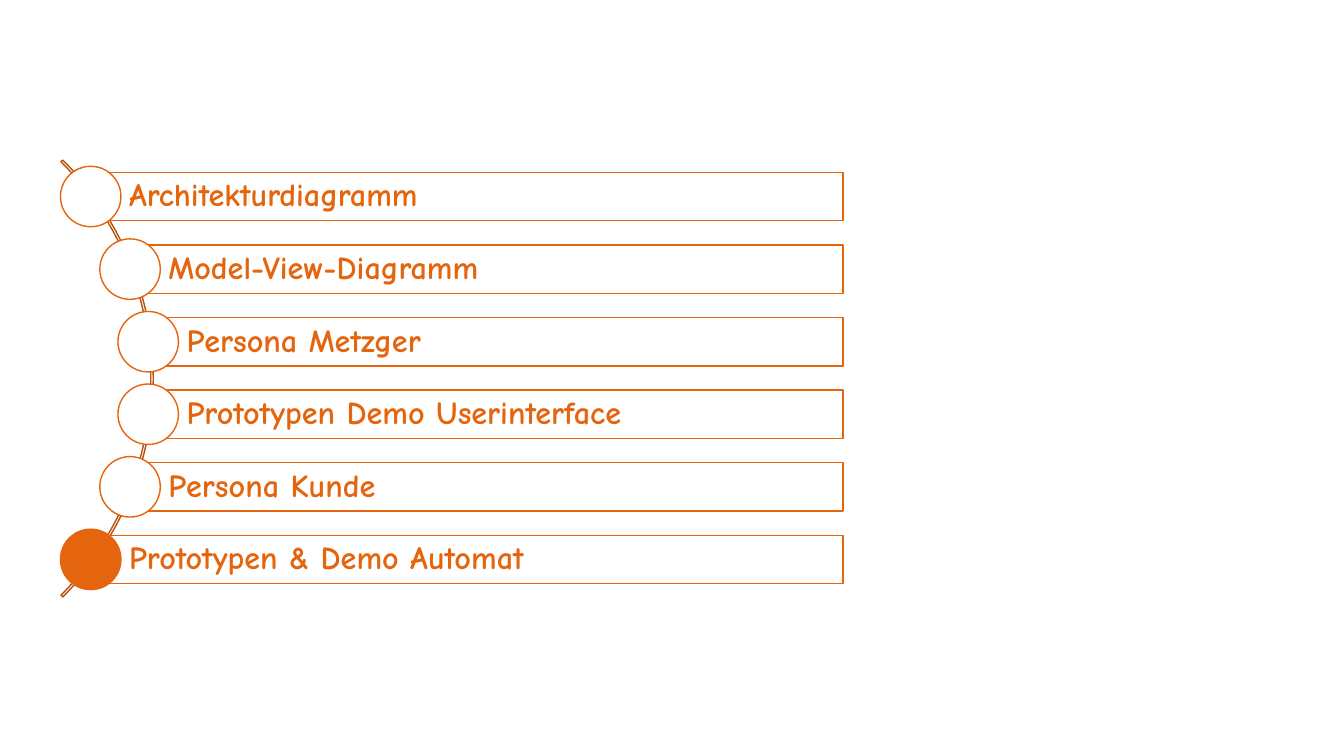
"""Agenda slide: six topics on a curved timeline, the last one highlighted."""
from pptx import Presentation
from pptx import util as u
from pptx.dml.color import RGBColor
from pptx.enum import shapes, text

COLORS = {"orange": "E4650E", "arc": "B7510B", "white": "FFFFFF"}
FONT = "Comic Neue"
TOPICS = [
    ("Architekturdiagramm", 0.9, "white"),
    ("Model-View-Diagramm", 1.29, "white"),
    ("Persona Metzger", 1.47, "white"),
    ("Prototypen Demo Userinterface", 1.47, "white"),
    ("Persona Kunde", 1.29, "white"),
    ("Prototypen & Demo Automat", 0.9, "orange"),
]
BAR_TOP, BAR_HEIGHT, BAR_RIGHT, PITCH = 1.71, 0.48, 8.36, 0.72
DOT = 0.6


def add_outline(kind, left, top, width, height, line, fill=None):
    sp = s.shapes.add_shape(kind, u.Inches(left), u.Inches(top),
                            u.Inches(width), u.Inches(height))
    sp.shadow.inherit = False
    sp.line.color.rgb = RGBColor.from_string(COLORS[line])
    sp.line.width = u.Pt(1)
    if fill:
        sp.fill.solid()
        sp.fill.fore_color.rgb = RGBColor.from_string(COLORS[fill])
    else:
        sp.fill.background()
    return sp


prs = Presentation()
prs.slide_width, prs.slide_height = u.Inches(13.33), u.Inches(7.5)
s = prs.slides.add_slide(prs.slide_layouts[6])

arc = add_outline(shapes.MSO_SHAPE.BLOCK_ARC, -4.61, 0.69, 6.13, 6.13, "arc")
for i, value in enumerate((189, 27, 0.004)):
    arc.adjustments[i] = value

for i, (topic, left, dot_fill) in enumerate(TOPICS):
    top = BAR_TOP + i * PITCH
    bar = add_outline(shapes.MSO_SHAPE.RECTANGLE, left, top,
                      BAR_RIGHT - left, BAR_HEIGHT, "orange")
    tf = bar.text_frame
    tf.word_wrap = True
    tf.vertical_anchor = text.MSO_ANCHOR.MIDDLE
    tf.margin_left = u.Inches(0.38)
    tf.margin_top = tf.margin_right = tf.margin_bottom = u.Inches(0.06)
    p = tf.paragraphs[0]
    p.alignment = text.PP_ALIGN.LEFT
    p.line_spacing = 0.9
    r = p.add_run()
    r.text = topic
    r.font.name = FONT
    r.font.size = u.Pt(23)
    r.font.bold = True
    r.font.color.rgb = RGBColor.from_string(COLORS["orange"])
    add_outline(shapes.MSO_SHAPE.OVAL, left - DOT / 2, top + (BAR_HEIGHT - DOT) / 2,
                DOT, DOT, "orange", dot_fill)

prs.save("out.pptx")
